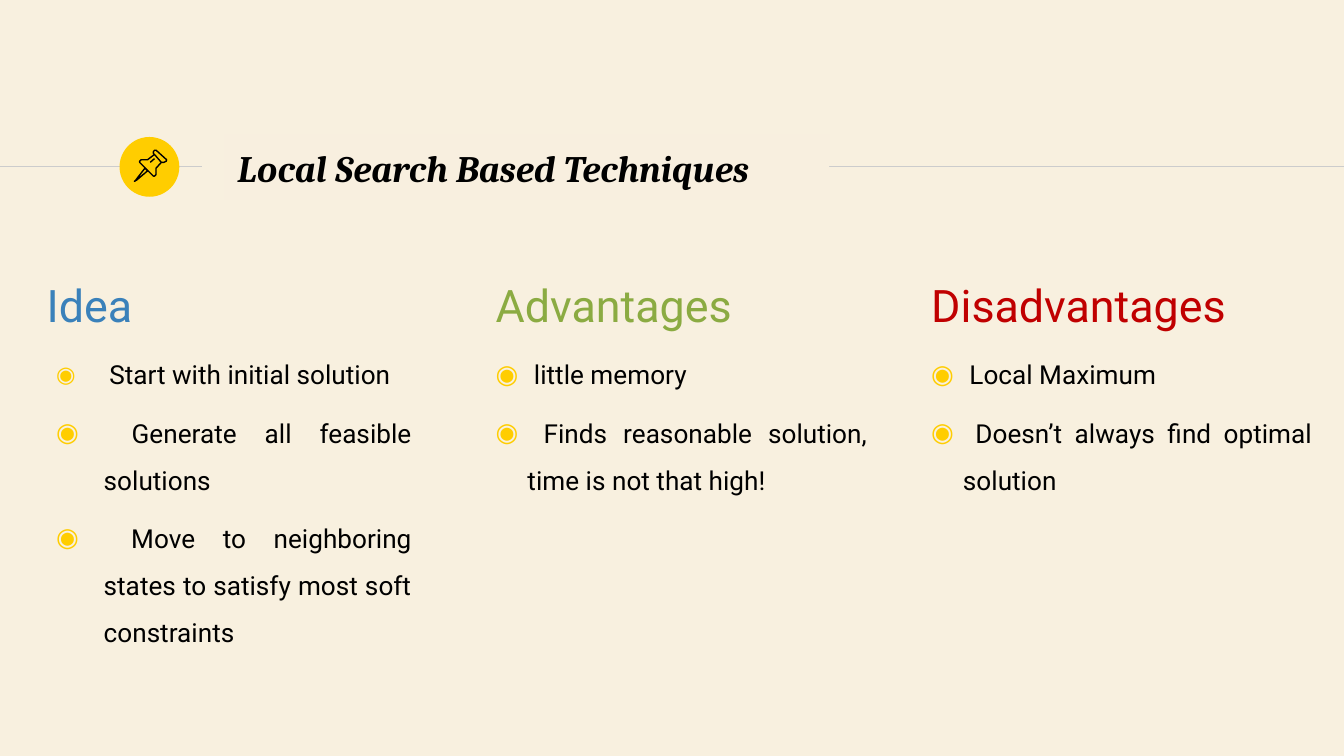
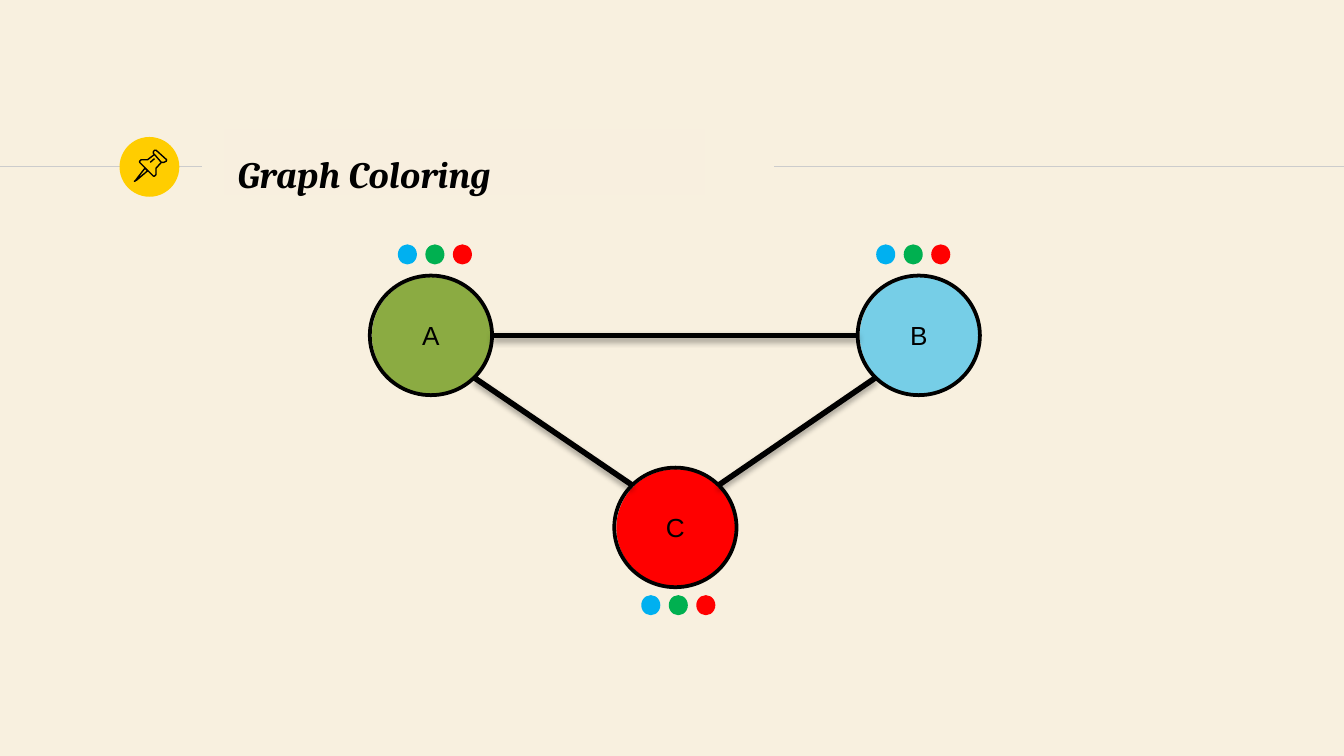
import math

import pptx
import pptx.dml.color
import pptx.enum.shapes
import pptx.enum.text
import pptx.oxml
import pptx.oxml.ns
import pptx.util
from lxml import etree

Cm = pptx.util.Cm
Pt = pptx.util.Pt
SHAPE = pptx.enum.shapes.MSO_SHAPE
ALIGN = pptx.enum.text.PP_ALIGN
ANCHOR = pptx.enum.text.MSO_ANCHOR
qn = pptx.oxml.ns.qn

# Shared look
PAPER, TITLE_FILL, RULE, YELLOW = "F7ECD7", "F8EFDF", "CCCCCC", "FFCD00"
BLACK, GREEN, SKY, RED = "000000", "8BAB42", "00B0F0", "FF0000"
DOT_COLORS = (SKY, "00B050", RED)
TITLE_FONT, BODY_FONT, NODE_FONT = "Cambria", "Roboto", "Arial"
RULE_Y = 3.15

# Pushpin outlines in cm: points, closed
PIN = [
    ([(2.74, 3.18), (2.57, 3.4), (2.54, 3.43), (2.59, 3.4), (2.79, 3.23)], True),
    ([(2.92, 2.92), (3.05, 3.07), (3.1, 3.07), (3.14, 3.05), (3.15, 3.02),
      (2.95, 2.84), (2.92, 2.84), (2.9, 2.87), (2.9, 2.9)], True),
    ([(2.92, 2.92), (2.79, 3.02), (2.67, 3.02), (2.64, 3.05), (2.64, 3.07),
      (2.9, 3.33), (2.92, 3.33), (2.95, 3.3), (2.95, 3.18), (3.05, 3.07)], False),
    ([(2.84, 3.07), (2.92, 3)], False),
]

# Graph nodes: ring left, ring top, fill, opacity, first dot left, dots top
RING_W, RING_H = 2.31, 2.26
NODES = {
    "A": (6.99, 5.21, GREEN, 100, 7.52, 4.62),
    "B": (16.21, 5.21, SKY, 52, 16.56, 4.62),
    "C": (11.61, 8.84, RED, 100, 12.12, 11.25),
}


def rgb(color):
    return pptx.dml.color.RGBColor.from_string(color)


def set_alpha(element, percent):
    color = next(element.iter(qn("a:srgbClr")))
    etree.SubElement(color, qn("a:alpha"), val=str(percent * 1000))


def format_run(r, font, size, color):
    r.font.name = font
    r.font.size = Pt(size)
    r.font.color.rgb = rgb(color)


def add_ellipse(slide, x, y, w, h, fill=None, line=None, alpha=100):
    sp = slide.shapes.add_shape(SHAPE.OVAL, Cm(x), Cm(y), Cm(w), Cm(h))
    sp.shadow.inherit = False
    if fill:
        sp.fill.solid()
        sp.fill.fore_color.rgb = rgb(fill)
        if alpha < 100:
            set_alpha(sp._element.spPr, alpha)
    else:
        sp.fill.background()
    if line:
        sp.line.color.rgb = rgb(line)
        sp.line.width = Pt(2)
    else:
        sp.line.fill.background()
    return sp


def add_line(slide, start, end, color, width, shadow=False):
    line = slide.shapes.add_connector(
        pptx.enum.shapes.MSO_CONNECTOR.STRAIGHT, *map(Cm, start + end))
    line.line.color.rgb = rgb(color)
    line.line.width = Pt(width)
    effects = etree.SubElement(line._element.spPr, qn("a:effectLst"))
    if shadow:
        outer = etree.SubElement(effects, qn("a:outerShdw"), blurRad="40000",
                                 dist="23000", dir="5400000", rotWithShape="0")
        etree.SubElement(outer, qn("a:srgbClr"), val=BLACK)
        set_alpha(effects, 35)


def add_pin(slide):
    group = slide.shapes.add_group_shape()
    for points, closed in PIN:
        (x, y), *rest = [(Cm(px), Cm(py)) for px, py in points]
        builder = group.shapes.build_freeform(x, y)
        builder.add_line_segments(rest, close=closed)
        sp = builder.convert_to_shape()
        sp.shadow.inherit = False
        sp.fill.background()
        sp.line.color.rgb = rgb(BLACK)
        sp.line.width = Pt(0.75)


def place(sp, x, y, w, h):
    sp.left, sp.top, sp.width, sp.height = Cm(x), Cm(y), Cm(w), Cm(h)


def set_frame(tf, anchor):
    tf.word_wrap = True
    tf.auto_size = pptx.enum.text.MSO_AUTO_SIZE.NONE
    tf.vertical_anchor = anchor
    tf.margin_left = tf.margin_right = tf.margin_top = tf.margin_bottom = Cm(0.25)


def add_slide(prs, layout, title, top, width, spacing):
    """Slide with background, ruled band, pin and title."""
    slide = prs.slides.add_slide(prs.slide_layouts[layout])
    fill = slide.background.fill
    fill.solid()
    fill.fore_color.rgb = rgb(PAPER)
    set_alpha(slide._element, 78)

    add_line(slide, (0, RULE_Y), (3.81, RULE_Y), RULE, 0.75)
    add_ellipse(slide, 2.26, 2.59, 1.13, 1.13, YELLOW)
    add_line(slide, (14.63, RULE_Y), (25.4, RULE_Y), RULE, 0.75)

    sp = slide.shapes.title
    place(sp, 4.24, top, width, 1.24)
    sp.fill.solid()
    sp.fill.fore_color.rgb = rgb(TITLE_FILL)
    set_frame(sp.text_frame, ANCHOR.MIDDLE)
    sp.text_frame.text = title
    p = sp.text_frame.paragraphs[0]
    p.alignment = ALIGN.LEFT
    p.line_spacing = spacing
    r = p.runs[0]
    format_run(r, TITLE_FONT, 20, BLACK)
    r.font.bold = r.font.italic = True
    # The title covers the rule
    slide.shapes._spTree.append(sp._element)
    add_pin(slide)
    return slide


def set_bullet(p, margin, hanging):
    pPr = p._p.get_or_add_pPr()
    pPr.set("marL", str(Cm(margin)))
    pPr.set("indent", str(-Cm(hanging)))
    if hanging:
        color = etree.SubElement(pPr, qn("a:buClr"))
        etree.SubElement(color, qn("a:srgbClr"), val=YELLOW)
        etree.SubElement(pPr, qn("a:buFont"), typeface=BODY_FONT)
        etree.SubElement(pPr, qn("a:buChar"), char="◉")
    else:
        etree.SubElement(pPr, qn("a:buNone"))


def fill_column(tf, heading, items, margin, hanging):
    """Heading and bulleted items, each a list of (text, size, color) runs."""
    set_frame(tf, ANCHOR.TOP)
    for i, runs in enumerate([heading] + items):
        p = tf.add_paragraph() if i else tf.paragraphs[0]
        p.alignment = ALIGN.JUSTIFY if i else ALIGN.LEFT
        p.line_spacing = 1.5
        p.space_before = Pt(6)
        set_bullet(p, margin if i else 0, hanging if i else 0)
        for text, size, color in runs:
            r = p.add_run()
            r.text = text
            format_run(r, BODY_FONT, size, color)


def item(text):
    return [(text, 14, BLACK)]


def add_column(slide, x, w, heading, color, items):
    sp = slide.shapes.add_textbox(Cm(x), Cm(4.5), Cm(w), Cm(8.64))
    fill_column(sp.text_frame, [(heading, 24, color)],
                [item(text) for text in items], 0.6, 0.6)


def add_node(slide, name):
    x, y, fill, alpha, dot_x, dot_y = NODES[name]
    add_ellipse(slide, x + 0.04, y + 0.03, 2.24, 2.21, fill, alpha=alpha)
    ring = add_ellipse(slide, x, y, RING_W, RING_H, line=BLACK)
    tf = ring.text_frame
    tf.text = name
    tf.vertical_anchor = ANCHOR.MIDDLE
    tf.paragraphs[0].alignment = ALIGN.CENTER
    format_run(tf.paragraphs[0].runs[0], NODE_FONT, 14, BLACK)
    for i, color in enumerate(DOT_COLORS):
        add_ellipse(slide, dot_x + i * 0.52, dot_y, 0.36, 0.38, color)


def ring_point(name, degrees):
    """Point on a node's ring, clockwise from the right."""
    x, y = NODES[name][:2]
    angle = math.radians(degrees)
    return (x + RING_W / 2 * (1 + math.cos(angle)),
            y + RING_H / 2 * (1 + math.sin(angle)))


def build_techniques(prs):
    slide = add_slide(prs, 1, "Local Search Based Techniques", 2.54, 11.43, 1)
    body = slide.placeholders[1]
    place(body, 0.51, 4.5, 7.52, 8.64)
    fill_column(
        body.text_frame,
        [(" ", 14, BLACK), ("Idea", 24, "3A81BA")],
        [[(" ", 12, BLACK), ("Start with initial solution", 14, BLACK)],
         item(" Generate all feasible solutions"),
         item(" Move to neighboring states to satisfy most soft constraints")],
        1.2, 0.9)
    add_column(slide, 9.12, 7.52, "Advantages", GREEN,
               [" little memory",
                " Finds reasonable solution, time is not that high!"])
    add_column(slide, 17.35, 7.7, "Disadvantages", "C00000",
               [" Local Maximum", " Doesn’t always find optimal solution"])


def build_graph(prs):
    slide = add_slide(prs, 5, "Graph Coloring", 2.44, 9.07, 1.5)
    for name in NODES:
        add_node(slide, name)
    # Edges: node and angle at each end
    for start, a, end, b in (("A", 45, "C", 225), ("C", 315, "B", 135),
                             ("A", 0, "B", 180)):
        add_line(slide, ring_point(start, a), ring_point(end, b), BLACK, 3, True)


def main():
    prs = pptx.Presentation()
    prs.slide_width, prs.slide_height = Cm(25.4), Cm(14.29)
    build_techniques(prs)
    build_graph(prs)
    prs.save("out.pptx")


if __name__ == "__main__":
    main()
